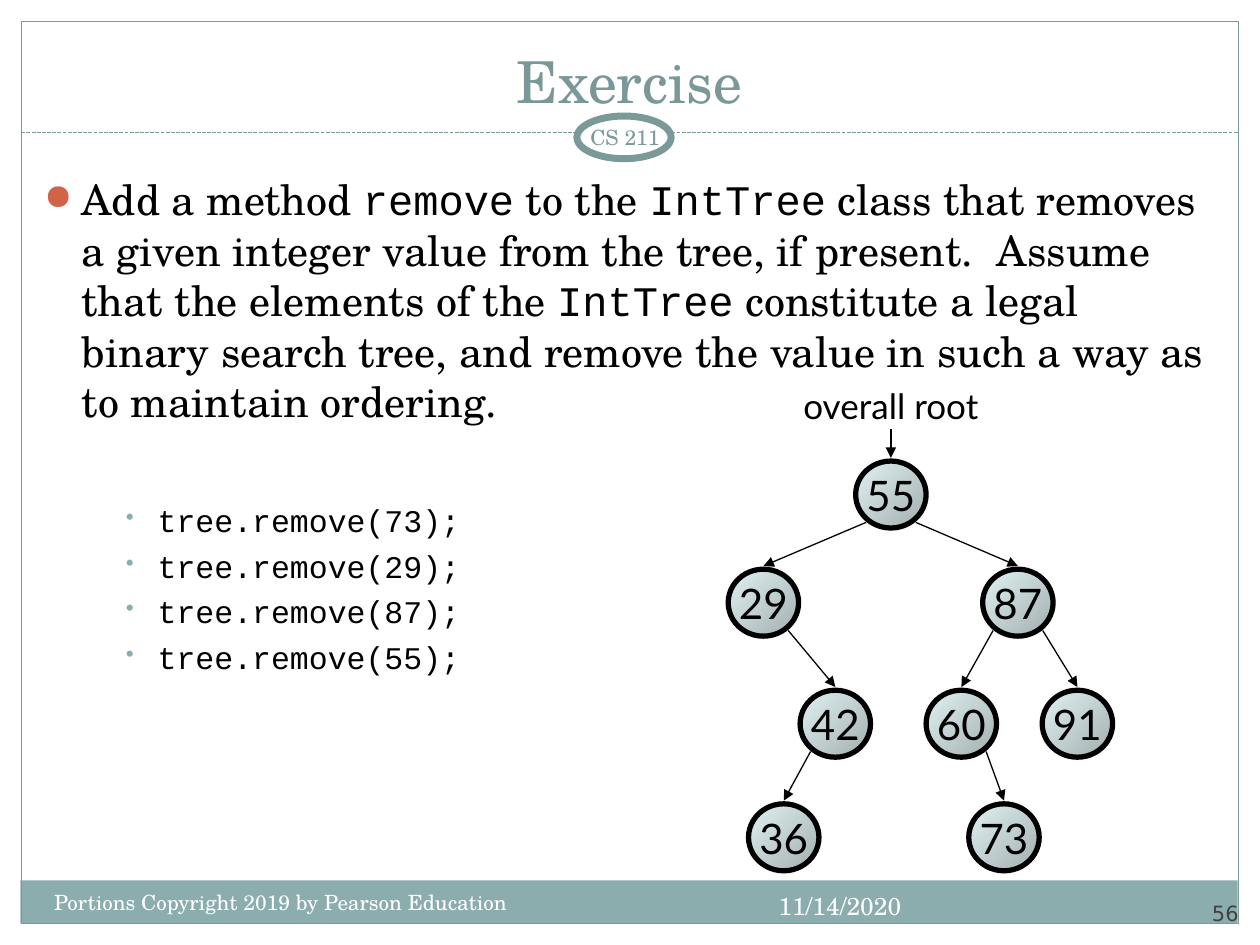
"""Build the binary search tree removal exercise slide."""
from lxml.etree import SubElement
from pptx import Presentation
from pptx.dml.color import RGBColor
from pptx.enum.dml import MSO_LINE
from pptx.enum.shapes import MSO_CONNECTOR, MSO_SHAPE
from pptx.enum.text import MSO_ANCHOR, PP_ALIGN
from pptx.oxml.ns import qn
from pptx.util import Cm, Pt

WHITE = RGBColor(0xFF, 0xFF, 0xFF)
BLACK = RGBColor(0, 0, 0)
TEAL = RGBColor(0x8C, 0xAD, 0xAE)
DARK_TEAL = RGBColor(0x7C, 0x99, 0x9A)
TITLE_TEAL = RGBColor(0x7B, 0x98, 0x99)
RED = RGBColor(0xD1, 0x63, 0x49)
GREY = RGBColor(0x42, 0x42, 0x42)
NODE_LIGHT = RGBColor(0xE1, 0xF2, 0xF3)
NODE_DARK = RGBColor(0xA2, 0xAF, 0xAF)
SERIF, MONO, SANS, NUMBER = "TeX Gyre Schola", "Courier New", "Lato", "DejaVu Sans"

PANELS = [
    (MSO_SHAPE.RECTANGLE, (0, 0, 25.4, 3.86), WHITE, None),
    (MSO_SHAPE.RECTANGLE, (0, 0, 0.43, 19.05), WHITE, None),
    (MSO_SHAPE.RECTANGLE, (24.97, 0, 0.43, 19.05), WHITE, None),
    (MSO_SHAPE.RECTANGLE, (0.41, 17.75, 24.54, 0.86), TEAL, None),
    (MSO_SHAPE.RECTANGLE, (0.43, 0.43, 24.54, 18.19), None, 0.75),
]
BADGES = [
    (MSO_SHAPE.OVAL, (11.86, 2.67, 1.7, 1.7), WHITE, None),
    (MSO_SHAPE.OVAL, (11.63, 2.34, 1.9, 0.86), WHITE, 4),
]
DIVIDER = (0.43, 2.67, 24.97, 2.67)

LEFT, CENTER, RIGHT = PP_ALIGN.LEFT, PP_ALIGN.CENTER, PP_ALIGN.RIGHT
TOP, MIDDLE, BOTTOM = MSO_ANCHOR.TOP, MSO_ANCHOR.MIDDLE, MSO_ANCHOR.BOTTOM
LABELS = [
    ("56", (22.86, 17.65, 2.11, 1.02), NUMBER, 12, GREY, RIGHT, BOTTOM, 0),
    ("Exercise", (0.84, 0.64, 23.7, 1.8), SERIF, 33, TITLE_TEAL, CENTER, BOTTOM, None),
    ("overall root", (15.93, 7.62, 4.06, 1.09), SANS, 20, BLACK, CENTER, TOP, None),
    ("11/14/2020", (14.2, 17.83, 4.22, 1.02), SERIF, 14, WHITE, RIGHT, TOP, None),
    ("Portions Copyright 2019 by Pearson Education", (0.84, 17.81, 10.36, 1.02),
     SERIF, 12, WHITE, LEFT, TOP, None),
    ("CS 211", (11.43, 2.34, 2.34, 0.84), SERIF, 12, DARK_TEAL, CENTER, MIDDLE, 0.13),
]

BODY_BOX = (0.64, 3.38, 24.13, 14.17)
TASK = [
    ("Add a method ", SERIF), ("remove", MONO), (" to the ", SERIF), ("IntTree", MONO),
    (" class that removes a given integer value from the tree, if present.  Assume "
     "that the elements of the ", SERIF), ("IntTree", MONO),
    (" constitute a legal binary search tree, and remove the value in such a way as "
     "to maintain ordering.", SERIF),
]
REMOVED_VALUES = [73, 29, 87, 55]

NODE_CENTERS = {
    55: (17.96, 9.97), 29: (15.39, 12.15), 87: (20.52, 12.15), 42: (16.84, 14.59),
    60: (19.38, 14.59), 91: (21.72, 14.59), 36: (15.8, 16.88), 73: (20.24, 16.88),
}
BRANCHES = [(55, 29), (55, 87), (29, 42), (87, 60), (87, 91), (42, 36), (60, 73)]
NODE_WIDTH, NODE_HEIGHT = 1.42, 1.35
BRANCH_DX, BRANCH_DY, ARROW_RISE = 0.5, 0.56, 0.74
ROOT_ARROW_TOP = 8.64


def add_panel(slide, kind, box, fill, outline):
    panel = slide.shapes.add_shape(kind, *map(Cm, box))
    panel.shadow.inherit = False
    if fill is None:
        panel.fill.background()
    else:
        panel.fill.solid()
        panel.fill.fore_color.rgb = fill
    if outline is None:
        panel.line.fill.background()
    else:
        panel.line.color.rgb = DARK_TEAL
        panel.line.width = Pt(outline)


def add_line(slide, ends, color, dashed=False):
    line = slide.shapes.add_connector(MSO_CONNECTOR.STRAIGHT, *map(Cm, ends))
    line.line.color.rgb = color
    line.line.width = Pt(0.75)
    properties = line._element.spPr
    if dashed:
        line.line.dash_style = MSO_LINE.SQUARE_DOT
    else:
        SubElement(properties.find(qn("a:ln")), qn("a:tailEnd"), type="triangle")
    SubElement(properties, qn("a:effectLst"))


def add_run(paragraph, text, font, size, color):
    run = paragraph.add_run()
    run.text = text
    run.font.name = font
    run.font.size = Pt(size)
    run.font.color.rgb = color


def add_label(slide, text, box, font, size, color, align, anchor, inset):
    frame = slide.shapes.add_textbox(*map(Cm, box)).text_frame
    frame.word_wrap = True
    frame.vertical_anchor = anchor
    if inset is not None:
        frame.margin_left = frame.margin_right = Cm(inset)
        frame.margin_top = frame.margin_bottom = Cm(inset)
    frame.paragraphs[0].alignment = align
    add_run(frame.paragraphs[0], text, font, size, color)


def set_bullet(paragraph, mark, color, percent, margin, hanging):
    properties = paragraph._p.get_or_add_pPr()
    properties.set("marL", str(Cm(margin)))
    properties.set("indent", str(-Cm(hanging)))
    SubElement(SubElement(properties, qn("a:buClr")), qn("a:srgbClr"), val=str(color))
    SubElement(properties, qn("a:buSzPct"), val=str(percent * 1000))
    SubElement(properties, qn("a:buChar"), char=mark)


def add_body(slide):
    frame = slide.shapes.add_textbox(*map(Cm, BODY_BOX)).text_frame
    frame.word_wrap = True
    task = frame.paragraphs[0]
    set_bullet(task, "●", RED, 85, 0.76, 0.76)
    for text, font in TASK:
        add_run(task, text, font, 24, BLACK)
    for index, value in enumerate(REMOVED_VALUES):
        call = frame.add_paragraph()
        set_bullet(call, "•", TEAL, 75, 2.29, 0.64)
        call.space_before = Pt(4.5 if index else 43)
        add_run(call, f"tree.remove({value});", MONO, 18, BLACK)


def add_node(slide, value, x, y):
    node = slide.shapes.add_shape(
        MSO_SHAPE.OVAL, Cm(x - NODE_WIDTH / 2), Cm(y - NODE_HEIGHT / 2),
        Cm(NODE_WIDTH), Cm(NODE_HEIGHT))
    node.shadow.inherit = False
    node.fill.gradient()
    node.fill.gradient_angle = 315
    for stop, position, color in zip(node.fill.gradient_stops, (0, 1), (NODE_LIGHT, NODE_DARK)):
        stop.position = position
        stop.color.rgb = color
    node.line.color.rgb = BLACK
    node.line.width = Pt(3)
    frame = node.text_frame
    frame.word_wrap = False
    frame.vertical_anchor = MIDDLE
    frame.paragraphs[0].alignment = CENTER
    add_run(frame.paragraphs[0], str(value), SANS, 24, BLACK)


def add_tree(slide):
    for value, center in NODE_CENTERS.items():
        add_node(slide, value, *center)
    root_x, root_y = NODE_CENTERS[55]
    add_line(slide, (root_x, ROOT_ARROW_TOP, root_x, root_y - ARROW_RISE), BLACK)
    for parent, child in BRANCHES:
        (px, py), (cx, cy) = NODE_CENTERS[parent], NODE_CENTERS[child]
        side = BRANCH_DX if cx > px else -BRANCH_DX
        add_line(slide, (px + side, py + BRANCH_DY, cx, cy - ARROW_RISE), BLACK)


def main():
    deck = Presentation()
    deck.slide_width, deck.slide_height = Cm(25.4), Cm(19.05)
    slide = deck.slides.add_slide(deck.slide_layouts[6])
    for panel in PANELS:
        add_panel(slide, *panel)
    add_line(slide, DIVIDER, DARK_TEAL, dashed=True)
    for badge in BADGES:
        add_panel(slide, *badge)
    add_body(slide)
    add_tree(slide)
    for label in LABELS:
        add_label(slide, *label)
    deck.save("out.pptx")


if __name__ == "__main__":
    main()
